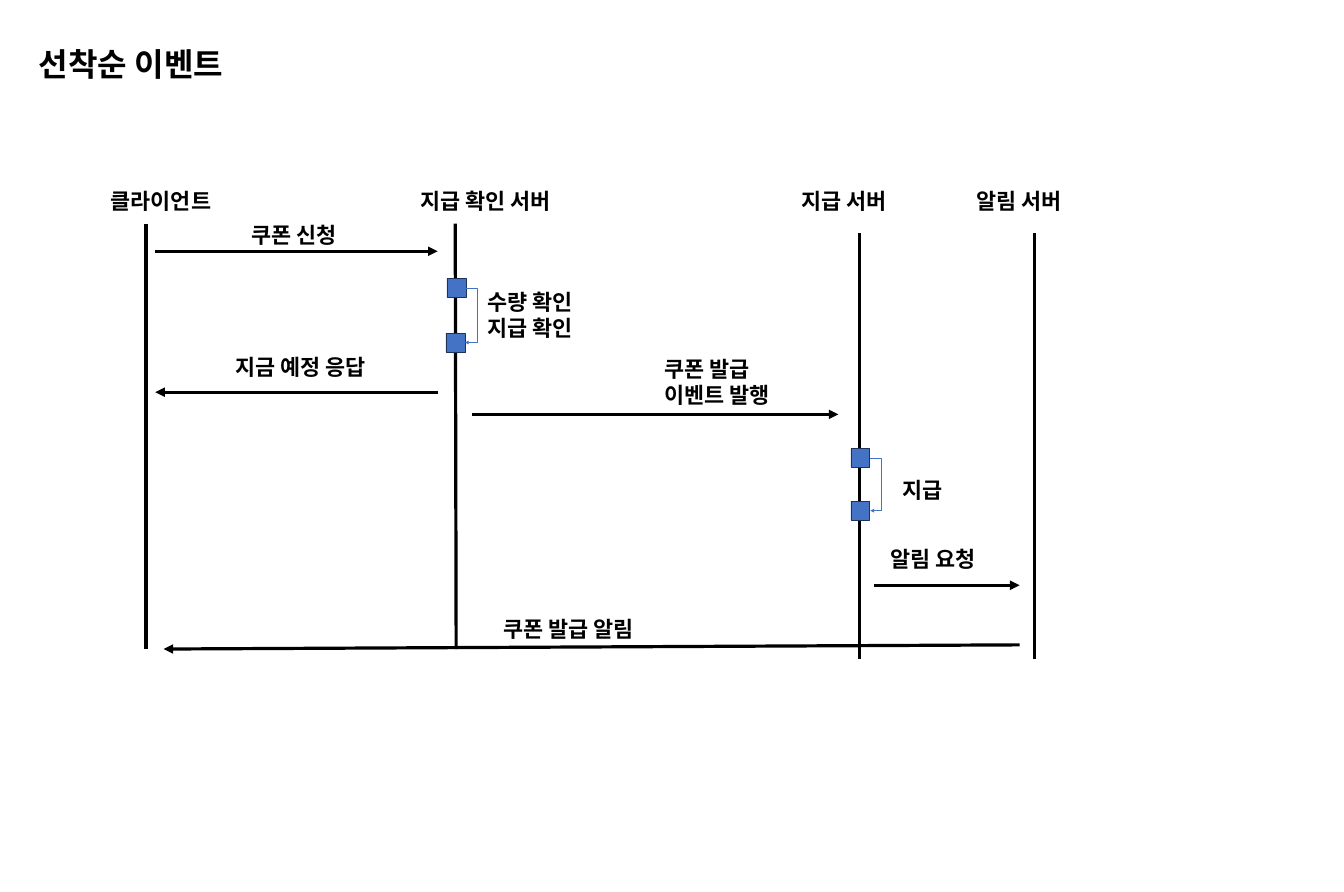
from lxml import etree
from pptx import Presentation
from pptx.dml.color import RGBColor
from pptx.enum.shapes import MSO_CONNECTOR, MSO_SHAPE
from pptx.enum.text import MSO_AUTO_SIZE
from pptx.oxml.ns import qn
from pptx.util import Inches, Pt

BLACK = RGBColor(0x00, 0x00, 0x00)
BLUE = RGBColor(0x44, 0x72, 0xC4)
NAVY = RGBColor(0x1E, 0x32, 0x56)
FONT = "Calibri"
LABEL_H = 0.67
STEP = 0.41   # side of a processing square
BULGE = 0.25  # how far a self-call swings out to the right

# label, label left, label top, label width, line top x, line bottom x, line top
LIFELINES = [
    ("클라이언트", 2.3, 4.02, 3.22, 3.16, 3.16, 4.84),
    ("지급 확인 서버", 9, 4.02, 3.66, 9.85, 9.87, 4.84),
    ("지급 서버", 17.25, 4.01, 2.61, 18.6, 18.6, 5.05),
    ("알림 서버", 21.03, 4.01, 2.61, 22.38, 22.38, 5.05),
]
LIFELINE_H = 9.21

# label, label box, arrow start, arrow end
MESSAGES = [
    ("쿠폰 신청", (5.35, 4.76, 2.89, LABEL_H), (3.36, 5.44), (9.47, 5.44)),
    ("지금 예정 응답", (5, 7.6, 4.49, LABEL_H), (9.47, 8.49), (3.36, 8.49)),
    ("쿠폰 발급 이벤트 발행", (14.27, 7.65, 2.9, 1.25), (10.22, 8.97), (18.14, 8.97)),
    ("알림 요청", (19.16, 11.77, 2.9, LABEL_H), (18.91, 12.67), (22.06, 12.67)),
    ("쿠폰 발급 알림", (10.79, 13.29, 4.02, LABEL_H), (22.06, 13.96), (3.54, 14.05)),
]

# label lines, label box, first square, second square, arrow end shift
SELF_CALLS = [
    (["수량 확인", "지급 확인"], (10.44, 6.19, 3.88, 1.25), (9.67, 6.03), (9.65, 7.21), 0),
    (["지급"], (19.42, 10.28, 1.54, LABEL_H), (18.41, 9.71), (18.41, 10.85), 0.01),
]


def add_text(s, lines, box, size=34):
    tf = s.shapes.add_textbox(*map(Inches, box)).text_frame
    tf.word_wrap = True
    tf.auto_size = MSO_AUTO_SIZE.SHAPE_TO_FIT_TEXT
    tf.text = "\n".join(lines)
    for p in tf.paragraphs:
        p.font.name = FONT
        p.font.size = Pt(size)
        p.font.bold = True
        p.font.color.rgb = BLACK


def add_line(s, start, end, color=BLACK, width=5, arrow=False, kind=MSO_CONNECTOR.STRAIGHT):
    line = s.shapes.add_connector(kind, *map(Inches, (*start, *end)))
    line.line.color.rgb = color
    line.line.width = Pt(width)
    if arrow:
        etree.SubElement(line.line._get_or_add_ln(), qn("a:tailEnd"), type="triangle")
    etree.SubElement(line._element.spPr, qn("a:effectLst"))
    return line


def add_lifeline(s, label, left, label_top, width, top_x, bottom_x, top):
    add_line(s, (top_x, top), (bottom_x, top + LIFELINE_H))
    add_text(s, [label], (left, label_top, width, LABEL_H))


def add_message(s, label, box, start, end):
    add_line(s, start, end, arrow=True)
    add_text(s, [label], box)


def add_self_call(s, lines, box, first, second, shift):
    """Two squares on a lifeline, joined by an elbow arrow on their right."""
    for left, top in (first, second):
        sp = s.shapes.add_shape(MSO_SHAPE.RECTANGLE, *map(Inches, (left, top, STEP, STEP)))
        sp.shadow.inherit = False
        sp.fill.solid()
        sp.fill.fore_color.rgb = BLUE
        sp.line.color.rgb = NAVY
        sp.line.width = Pt(1)
    start = first[0] + STEP, first[1] + STEP / 2
    end = second[0] + STEP + shift, second[1] + STEP / 2
    elbow = add_line(s, start, end, BLUE, 0.5, True, MSO_CONNECTOR.ELBOW)
    bend = round(BULGE / (end[0] - start[0]) * 100000)
    guides = elbow._element.spPr.find(qn("a:prstGeom")).get_or_add_avLst()
    etree.SubElement(guides, qn("a:gd"), name="adj1", fmla=f"val {bend}")
    add_text(s, lines, box)


def main():
    prs = Presentation()
    prs.slide_width, prs.slide_height = Inches(29.08), Inches(19.31)
    s = prs.slides.add_slide(prs.slide_layouts[6])
    add_text(s, ["선착순 이벤트"], (0.74, 0.91, 5.54, 0.94), size=50)
    for lifeline in LIFELINES:
        add_lifeline(s, *lifeline)
    for message in MESSAGES:
        add_message(s, *message)
    for call in SELF_CALLS:
        add_self_call(s, *call)
    prs.save("out.pptx")


if __name__ == "__main__":
    main()
